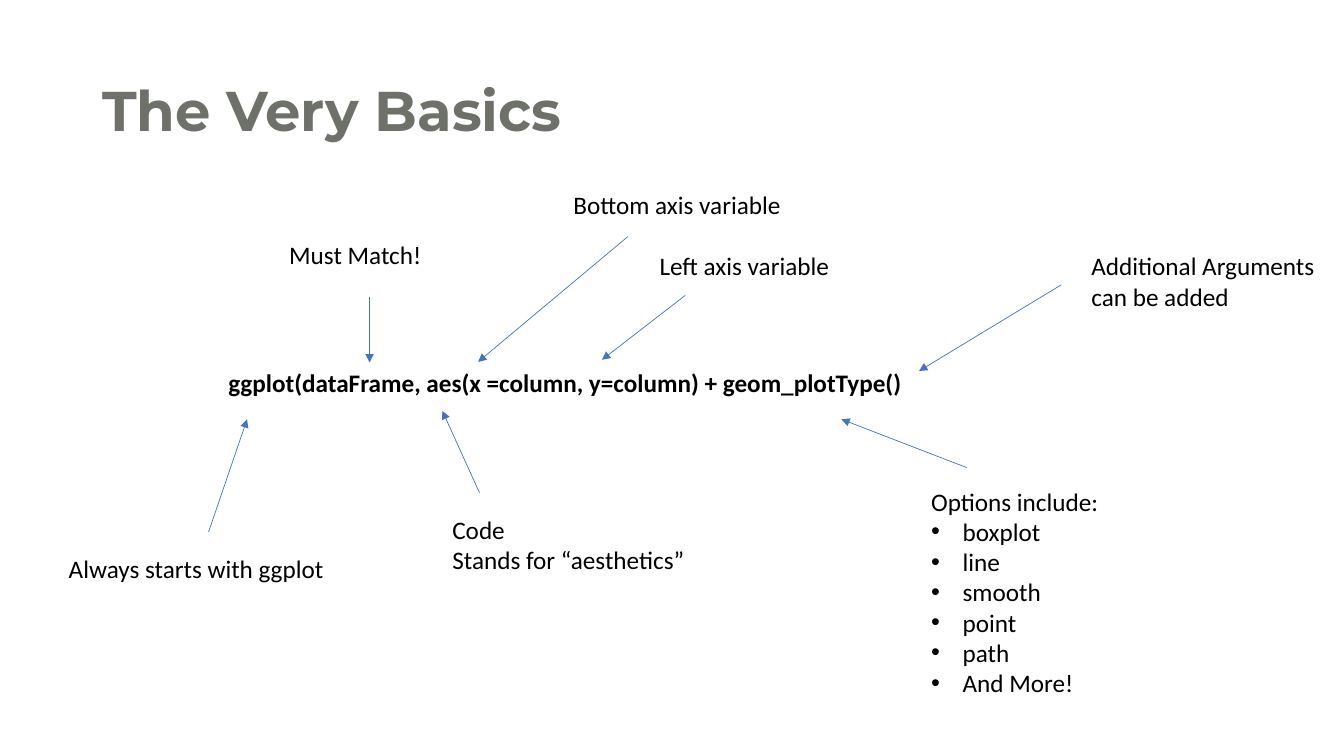
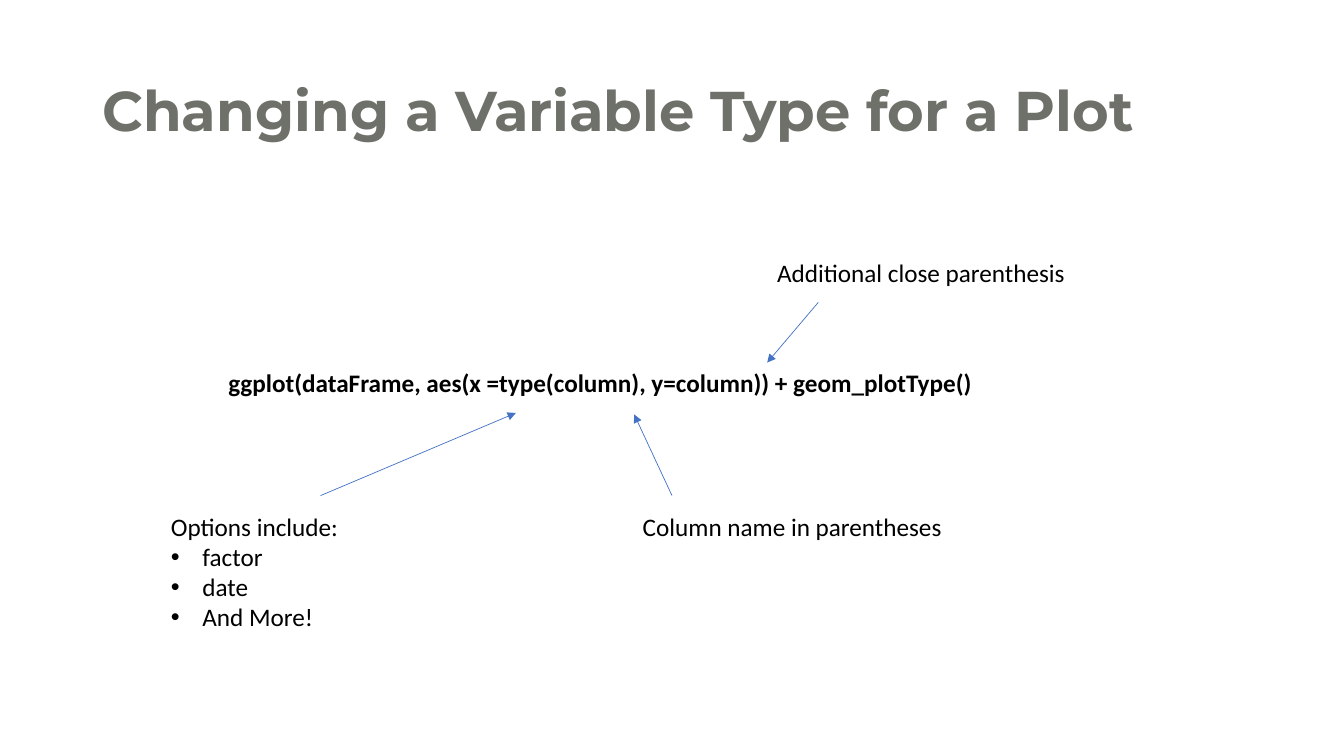
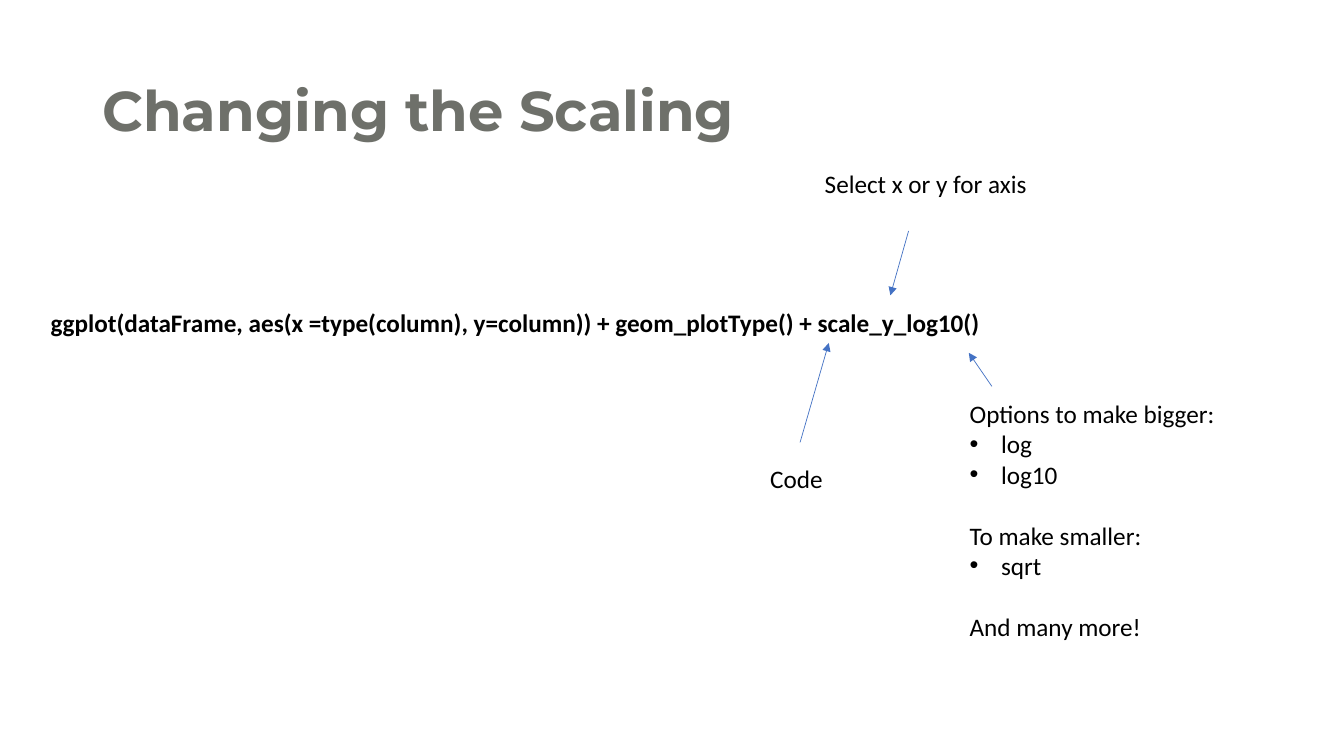
from dataclasses import dataclass

from lxml import etree
from pptx import Presentation
from pptx.dml.color import RGBColor
from pptx.enum import shapes, text
from pptx.oxml import ns
from pptx.util import Pt


@dataclass(frozen=True)
class Theme:
    title_color: RGBColor = RGBColor(0x6E, 0x70, 0x6A)
    ink: RGBColor = RGBColor(0, 0, 0)
    arrow: RGBColor = RGBColor(0x44, 0x72, 0xC4)
    title_font: str = "Montserrat"
    body_font: str = "Calibri"
    title_size: float = 40
    body_size: float = 18
    body_line: float = 22
    bullet_indent: float = 22.5
    arrow_width: float = 0.5


theme = Theme()
BULLET = "• "

# Each note is (left, top, width, wording); a blank line opens a new group.
# Each arrow is (from x, from y, to x, to y).
lessons = [
    {
        "title": "The Very Basics",
        "code": (156, 259, 552, "ggplot(dataFrame, aes(x =column, y=column) + geom_plotType()"),
        "notes": [
            (42, 391.5, 228, "Always starts with ggplot"),
            (199.5, 167.5, 109.5, "Must Match!"),
            (316, 364, 228, "Code\nStands for “aesthetics”"),
            (402.5, 131.5, 228, "Bottom axis variable"),
            (464, 175.5, 228, "Left axis variable"),
            (772.5, 175.5, 184.5, "Additional Arguments can be added"),
            (658, 343.5, 228, "Options include:\n• boxplot\n• line\n• smooth\n• point\n• path\n• And More!"),
        ],
        "arrows": [
            (149, 380, 176.5, 299.5),
            (264, 212.5, 264, 259),
            (342.5, 352, 316, 293.5),
            (448.5, 169, 341.5, 258.5),
            (489.5, 211, 430, 257),
            (758, 203.5, 656.5, 265),
            (690.5, 334, 601, 299.5),
        ],
    },
    {
        "title": "Changing a Variable Type for a Plot",
        "code": (156, 259, 552, "ggplot(dataFrame, aes(x =type(column), y=column)) + geom_plotType()"),
        "notes": [
            (548, 180, 228, "Additional close parenthesis"),
            (452, 361.5, 228, "Column name in parentheses"),
            (115, 361.5, 228, "Options include:\n• factor\n• date\n• And More!"),
        ],
        "arrows": [
            (584.5, 216, 548, 259),
            (480, 354, 453, 296),
            (229, 354, 368.5, 295),
        ],
    },
    {
        "title": "Changing the Scaling",
        "code": (29, 216, 685, "ggplot(dataFrame, aes(x =type(column), y=column)) + geom_plotType() + scale_y_log10()"),
        "notes": [
            (582, 116.5, 168, "Select x or y for axis"),
            (543, 327.5, 57, "Code"),
            (685.5, 281, 228, "Options to make bigger:\n• log\n• log10\n\nTo make smaller:\n• sqrt\n\nAnd many more!"),
        ],
        "arrows": [
            (649, 165, 636, 211),
            (571.5, 316, 592, 245),
            (708.5, 276, 692, 252),
        ],
    },
]


def add_text(slide, left, top, width, wording, bold=False):
    """Add a body text box, with hanging bullets and gaps between groups."""
    box = slide.shapes.add_textbox(Pt(left), Pt(top), Pt(width), Pt(29))
    frame = box.text_frame
    frame.word_wrap = True
    frame.auto_size = text.MSO_AUTO_SIZE.SHAPE_TO_FIT_TEXT
    groups = [group.split("\n") for group in wording.split("\n\n")]
    lines = [line for group in groups for line in group]
    group_starts = {sum(map(len, groups[:i])) for i in range(1, len(groups))}
    frame.text = "\n".join(line.removeprefix(BULLET) for line in lines)
    for i, (line, paragraph) in enumerate(zip(lines, frame.paragraphs)):
        if i in group_starts:
            paragraph.space_before = Pt(theme.body_line)
        if line.startswith(BULLET):
            properties = paragraph._p.get_or_add_pPr()
            properties.set("marL", str(Pt(theme.bullet_indent)))
            properties.set("indent", str(-Pt(theme.bullet_indent)))
            etree.SubElement(properties, ns.qn("a:buFont"), typeface="Arial")
            etree.SubElement(properties, ns.qn("a:buChar"), char=BULLET.strip())
        for run in paragraph.runs:
            run.font.name = theme.body_font
            run.font.size = Pt(theme.body_size)
            run.font.bold = bold
            run.font.color.rgb = theme.ink
    return box


deck = Presentation()
deck.slide_width, deck.slide_height = Pt(960), Pt(540)

for lesson in lessons:
    slide = deck.slides.add_slide(deck.slide_layouts[6])

    title = slide.shapes.add_textbox(Pt(66), Pt(28.75), Pt(828), Pt(104.5)).text_frame
    title.word_wrap = True
    title.vertical_anchor = text.MSO_ANCHOR.MIDDLE
    title.text = lesson["title"]
    heading = title.paragraphs[0]
    heading.line_spacing = 0.9
    heading.runs[0].font.name = theme.title_font
    heading.runs[0].font.size = Pt(theme.title_size)
    heading.runs[0].font.bold = True
    heading.runs[0].font.color.rgb = theme.title_color

    add_text(slide, *lesson["code"], bold=True)
    for note in lesson["notes"]:
        add_text(slide, *note)

    for ends in lesson["arrows"]:
        arrow = slide.shapes.add_connector(shapes.MSO_CONNECTOR.STRAIGHT, *map(Pt, ends))
        arrow.line.color.rgb = theme.arrow
        arrow.line.width = Pt(theme.arrow_width)
        etree.SubElement(arrow.line._get_or_add_ln(), ns.qn("a:tailEnd"), type="triangle")
        etree.SubElement(arrow._element.spPr, ns.qn("a:effectLst"))

deck.save("out.pptx")
